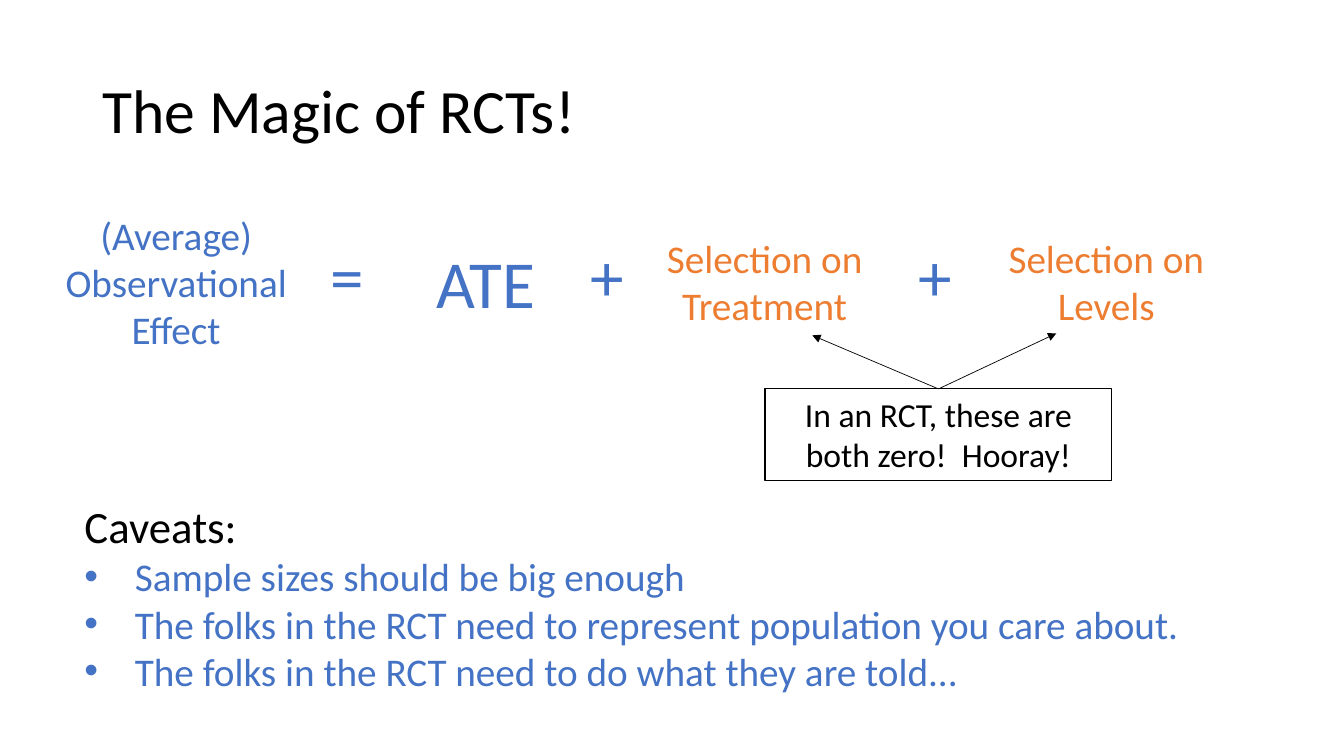
"""Build the slide on the magic of randomised controlled trials."""
import pptx
import pptx.dml.color
import pptx.enum.shapes
import pptx.enum.text
import pptx.oxml
import pptx.oxml.ns
import pptx.util
from pptx.util import Cm

FONT = "Calibri"
BLACK, BLUE, ORANGE = "000000", "4472C4", "ED7D31"
ALIGN = pptx.enum.text.PP_ALIGN
ANCHOR = pptx.enum.text.MSO_ANCHOR


def colour(value):
    """Turn a hex string into a colour."""
    return pptx.dml.color.RGBColor.from_string(value)


def add_element(parent, tag, **attributes):
    """Append a drawing element with the given attributes."""
    element = pptx.oxml.parse_xml(f"<a:{tag} {pptx.oxml.ns.nsdecls('a')}/>")
    for name, value in attributes.items():
        element.set(name, str(value))
    parent.append(element)


def write(frame, text, size=28, color=BLACK, align=ALIGN.LEFT, spacing=None,
          bullet_indent=None, new_paragraph=False):
    """Write one formatted paragraph into a text frame."""
    para = frame.add_paragraph() if new_paragraph else frame.paragraphs[0]
    para.alignment = align
    if spacing:
        para.line_spacing = spacing
    if bullet_indent:
        properties = para._p.get_or_add_pPr()
        properties.set("marL", str(int(bullet_indent)))
        properties.set("indent", str(-int(bullet_indent)))
        add_element(properties, "buFont", typeface="Arial")
        add_element(properties, "buChar", char="•")
    span = para.add_run()
    span.text = text
    span.font.name = FONT
    span.font.size = pptx.util.Pt(size)
    span.font.color.rgb = colour(color)


def add_text_frame(page, box, anchor=ANCHOR.TOP):
    """Add a wrapping text box and return its frame."""
    frame = page.shapes.add_textbox(*box).text_frame
    frame.word_wrap = True
    frame.vertical_anchor = anchor
    return frame


def add_title(page, box):
    """Place the title in its box."""
    write(add_text_frame(page, box, ANCHOR.MIDDLE), "The Magic of RCTs!",
          size=44, spacing=0.9)


def add_equation(page, box):
    """Place the terms and operators of the equation across the box."""
    left, top, width, height = box
    term_width, symbol_width = Cm(7.26), Cm(3.35)
    terms = [
        ("(Average) Observational Effect", 0, -0.58, BLUE),
        ("Selection on Treatment", 14.83, 0, ORANGE),
        ("Selection on Levels", 23.44, 0, ORANGE),
    ]
    for text, across, down, color in terms:
        frame = add_text_frame(
            page, (left + Cm(across), top + Cm(down), term_width, height))
        write(frame, text, color=color, align=ALIGN.CENTER)
    symbols = [("=", 7.26, 0), ("ATE", 9.93, 0.18), ("+", 13.82, 0), ("+", 22.1, 0)]
    for text, across, down in symbols:
        frame = add_text_frame(
            page, (left + Cm(across), top + Cm(down), symbol_width, height))
        write(frame, text, size=48, color=BLUE)


def add_arrow(page, start, end):
    """Draw a thin black arrow between two points."""
    arrow = page.shapes.add_connector(
        pptx.enum.shapes.MSO_CONNECTOR.STRAIGHT, *start, *end)
    arrow.line.color.rgb = colour(BLACK)
    arrow.line.width = pptx.util.Pt(0.5)
    add_element(arrow.line._get_or_add_ln(), "tailEnd", type="triangle")
    add_element(arrow._element.spPr, "effectLst")


def add_callout(page, box):
    """Place the framed remark and its arrows to the selection terms."""
    left, top, width, height = box
    callout = page.shapes.add_shape(
        pptx.enum.shapes.MSO_SHAPE.RECTANGLE, *box)
    callout.shadow.inherit = False
    callout.fill.background()
    callout.line.color.rgb = colour(BLACK)
    callout.line.width = pptx.util.Pt(0.75)
    callout.text_frame.word_wrap = True
    callout.text_frame.vertical_anchor = ANCHOR.TOP
    write(callout.text_frame, "In an RCT, these are both zero!  Hooray!",
          size=24, align=ALIGN.CENTER)
    middle = left + width // 2
    for across, up in [(2.97, 1.4), (-3.18, 1.35)]:
        add_arrow(page, (middle, top), (middle + Cm(across), top - Cm(up)))


def add_caveats(page, box):
    """Place the heading and bulleted caveats in the box."""
    frame = add_text_frame(page, box)
    write(frame, "Caveats:", size=32)
    for caveat in [
        "Sample sizes should be big enough",
        "The folks in the RCT need to represent population you care about.",
        "The folks in the RCT need to do what they are told...",
    ]:
        write(frame, caveat, color=BLUE, bullet_indent=Cm(1.27),
              new_paragraph=True)


def main():
    """Build and save the deck."""
    deck = pptx.Presentation()
    deck.slide_width, deck.slide_height = Cm(33.87), Cm(19.05)
    page = deck.slides.add_slide(deck.slide_layouts[6])
    add_title(page, (Cm(2.33), Cm(1.01), Cm(29.21), Cm(3.68)))
    add_equation(page, (Cm(0.81), Cm(5.77), Cm(30.7), Cm(2.64)))
    add_callout(page, (Cm(19.28), Cm(9.8), Cm(8.74), Cm(2.31)))
    add_caveats(page, (Cm(1.88), Cm(12.45), Cm(31.14), Cm(5.21)))
    deck.save("out.pptx")


if __name__ == "__main__":
    main()
